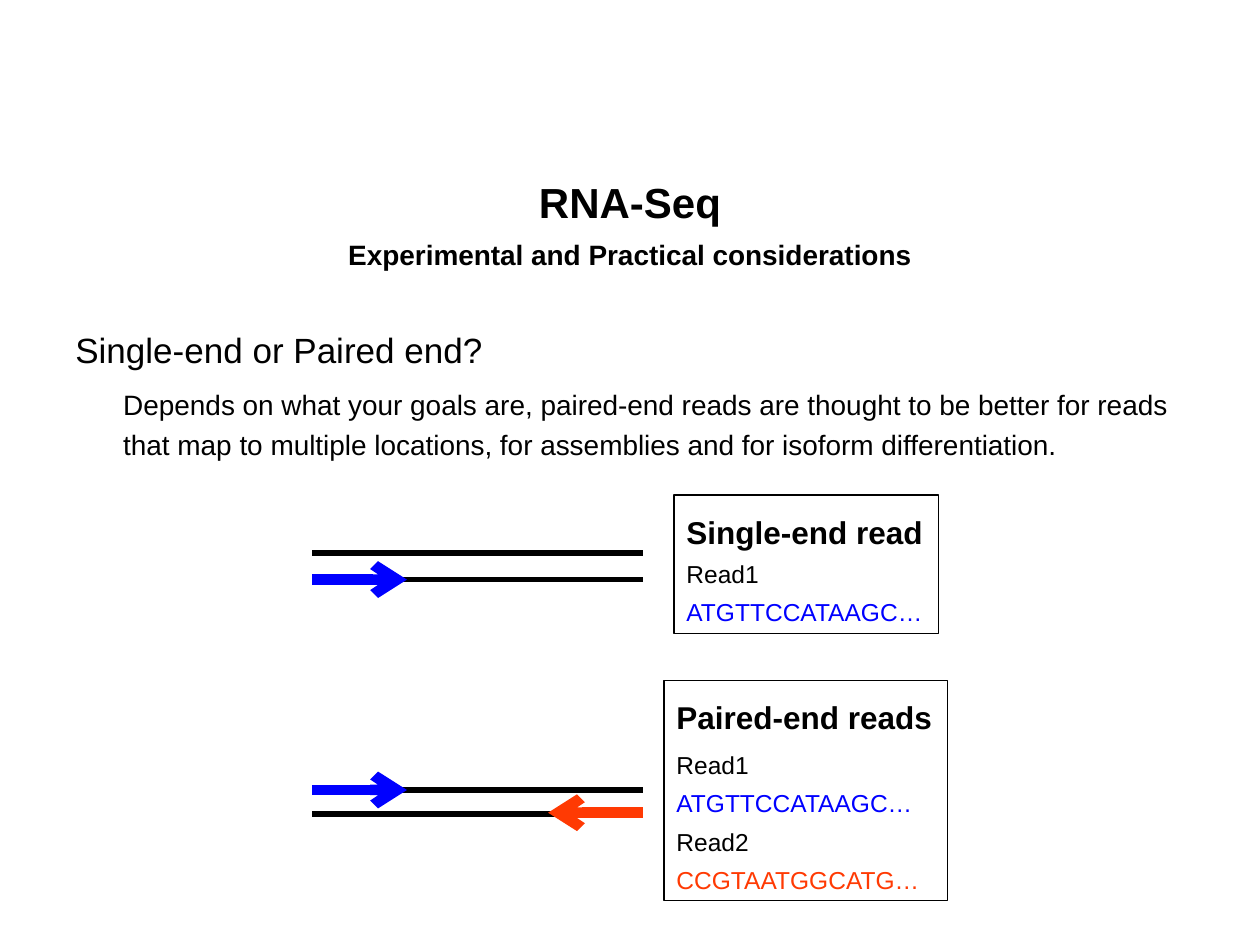
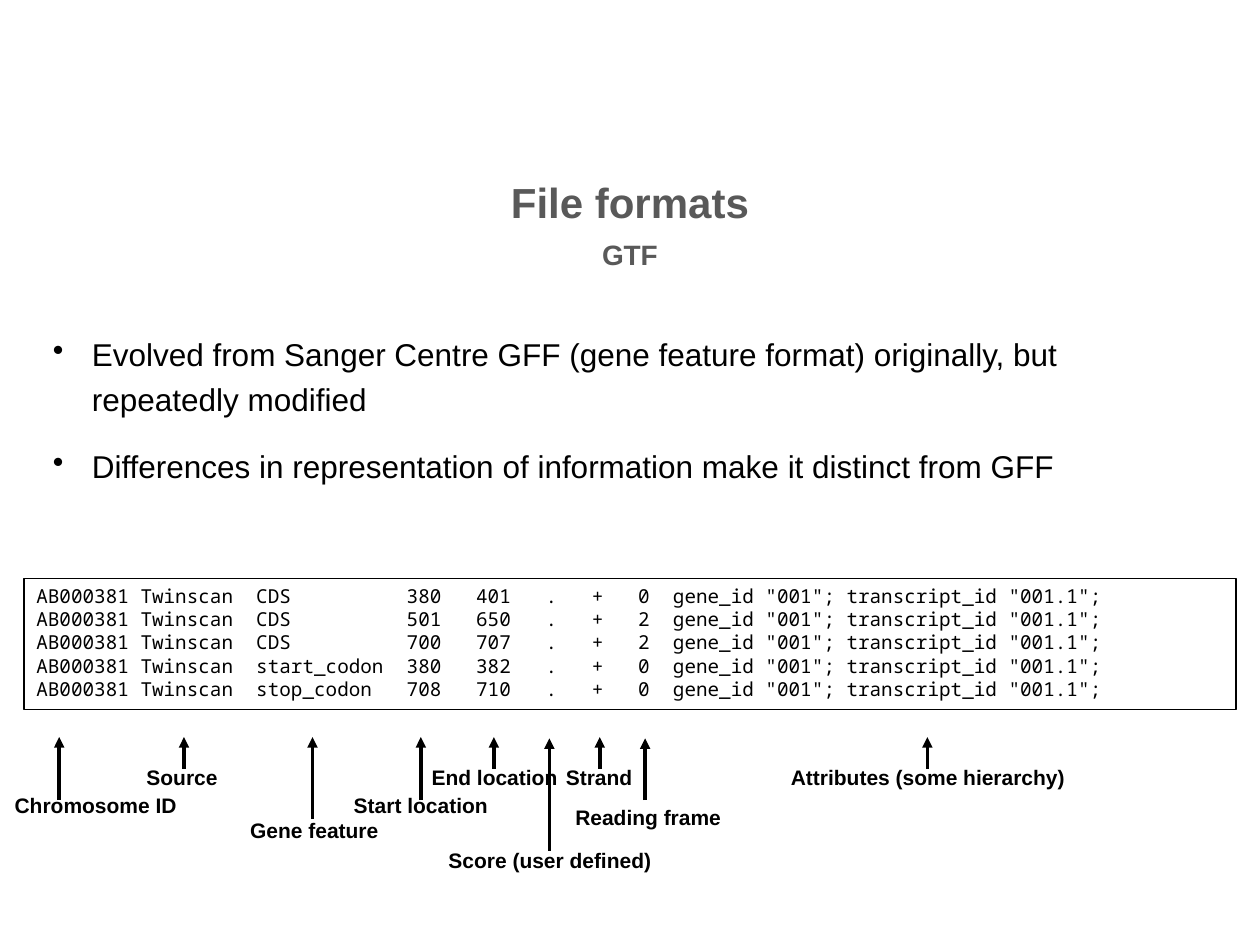
from dataclasses import dataclass
from typing import Optional

from lxml import etree
from pptx import Presentation
from pptx import util as u
from pptx.dml.color import RGBColor
from pptx.enum import shapes, text
from pptx.oxml.ns import qn

PX = u.Inches(1) // 100  # 100 px to the inch

BLACK = RGBColor(0x00, 0x00, 0x00)
GREY = RGBColor(0x59, 0x59, 0x59)
BLUE = RGBColor(0x00, 0x00, 0xFF)
RED = RGBColor(0xFF, 0x3A, 0x03)
SANS, MONO = "Arial", "Noto Sans Mono"
TOP, MID = text.MSO_ANCHOR.TOP, text.MSO_ANCHOR.MIDDLE
CENTER = text.PP_ALIGN.CENTER


@dataclass
class Para:
    words: str
    size: int
    color: RGBColor = BLACK
    bold: bool = False
    font: str = SANS
    align: Optional[text.PP_ALIGN] = None
    gap: float = 1.0
    before: int = 0
    after: int = 0
    left: int = 0
    hang: int = 0
    bullet: str = ""


@dataclass
class Area:
    left: int
    top: int
    width: int
    height: int

    def emu(self) -> tuple:
        return tuple(n * PX for n in (self.left, self.top, self.width, self.height))


@dataclass
class Read:
    start: int
    end: int
    y: int
    color: RGBColor = BLACK
    weight: int = 3
    tip: str = ""


@dataclass
class Label:
    words: str
    x: int
    foot: int
    area: Area
    tip: int = 585


# Shared parts
def fill_text(shape, paras: list[Para], wrap: bool = True, anchor=TOP, grow: bool = False) -> None:
    frame = shape.text_frame
    frame.text = "\n".join(para.words for para in paras)
    frame.word_wrap = wrap
    frame.vertical_anchor = anchor
    if grow:
        frame.auto_size = text.MSO_AUTO_SIZE.SHAPE_TO_FIT_TEXT
    for item, para in zip(frame.paragraphs, paras):
        item.alignment = para.align or text.PP_ALIGN.LEFT
        item.line_spacing = para.gap
        item.space_before = u.Pt(para.before)
        item.space_after = u.Pt(para.after)
        props = item._p.get_or_add_pPr()
        if para.left:
            item.level = 1
            props.set("marL", str(para.left * PX))
            props.set("indent", str(para.hang * PX))
        if para.bullet:
            etree.SubElement(props, qn("a:buChar")).set("char", para.bullet)
        for run in item.runs:
            run.font.name = para.font
            run.font.size = u.Pt(para.size)
            run.font.bold = para.bold
            run.font.color.rgb = para.color


def add_text(slide, area: Area, paras: list[Para], **style) -> None:
    fill_text(slide.shapes.add_textbox(*area.emu()), paras, **style)


def add_frame(slide, area: Area, paras: list[Para], **style) -> None:
    box = slide.shapes.add_shape(shapes.MSO_SHAPE.RECTANGLE, *area.emu())
    box.shadow.inherit = False
    box.fill.background()
    box.line.color.rgb = BLACK
    box.line.width = u.Pt(0.75)
    fill_text(box, paras, **style)


def add_line(slide, start: tuple, end: tuple, color: RGBColor, weight: int, tip: str = "") -> None:
    points = [n * PX for n in start + end]
    line = slide.shapes.add_connector(shapes.MSO_CONNECTOR.STRAIGHT, *points)
    line.line.color.rgb = color
    line.line.width = u.Pt(weight)
    if tip:
        etree.SubElement(line.line._get_or_add_ln(), qn("a:tailEnd")).set("type", tip)
    etree.SubElement(line._element.spPr, qn("a:effectLst"))


def add_title(slide, title: str, topic: str, color: RGBColor) -> None:
    paras = [Para(words, size, color, True, align=CENTER, gap=1.3)
             for words, size in ((title, 24), (topic, 16))]
    add_text(slide, Area(50, 142, 900, 59), paras, anchor=MID)


# Slide 1: kinds of reads
LEFT, RIGHT, SPAN = 248, 510, 75


def seq(words: str, color: RGBColor = BLACK, before: int = 0) -> Para:
    return Para(words, 14, color, gap=1.3, before=before)


def head(words: str) -> Para:
    return Para(words, 18, bold=True, gap=1.3)


def strand(y: int) -> Read:
    return Read(LEFT, RIGHT, y)


def first(y: int) -> Read:
    return Read(LEFT, LEFT + SPAN, y, BLUE, 6, "arrow")


SINGLE = [head("Single-end read"), seq("Read1"), seq("ATGTTCCATAAGC…", BLUE)]
PAIRED = [head("Paired-end reads"), seq("Read1", before=3), seq("ATGTTCCATAAGC…", BLUE),
          seq("Read2"), seq("CCGTAATGGCATG…", RED)]
READS = [strand(646), strand(627), first(627),
         Read(RIGHT, RIGHT - SPAN, 645, RED, 6, "arrow"),
         strand(439), strand(460), first(460)]


def draw_reads(slide) -> None:
    add_frame(slide, Area(535, 393, 210, 110), SINGLE, wrap=False, grow=True)
    add_frame(slide, Area(527, 540, 225, 175), PAIRED, wrap=False, anchor=MID, grow=True)
    for read in READS:
        add_line(slide, (read.start, read.y), (read.end, read.y), read.color, read.weight, read.tip)
    add_title(slide, "RNA-Seq", "Experimental and Practical considerations", BLACK)
    add_text(slide, Area(50, 249, 900, 123), [
        Para("Single-end or Paired end?", 20, gap=1.2, after=6),
        Para("Depends on what your goals are, paired-end reads are thought to be better for reads "
             "that map to multiple locations, for assemblies and for isoform differentiation.",
             16, gap=1.2, after=6, left=38),
    ], grow=True)


# Slide 2: columns of the GTF format
POINTS = [
    "Evolved from Sanger Centre GFF (gene feature format) originally, but repeatedly modified",
    "Differences in representation of information make it distinct from GFF",
]
ROWS = [("CDS", 380, 401, 0), ("CDS", 501, 650, 2), ("CDS", 700, 707, 2),
        ("start_codon", 380, 382, 0), ("stop_codon", 708, 710, 0)]
LABELS = [
    Label("Chromosome ID", 47, 635, Area(1, 624, 150, 30)),
    Label("Source", 146, 610, Area(106, 602, 77, 30)),
    Label("Gene feature", 248, 650, Area(188, 644, 123, 30)),
    Label("Start location", 334, 635, Area(270, 624, 128, 30)),
    Label("End location", 392, 610, Area(332, 602, 121, 30)),
    Label("Score (user defined)", 436, 675, Area(345, 668, 183, 30), 586),
    Label("Strand", 476, 610, Area(439, 602, 73, 30)),
    Label("Reading frame", 512, 635, Area(446, 634, 137, 30), 586),
    Label("Attributes (some hierarchy)", 736, 610, Area(616, 602, 241, 30)),
]


def draw_format(slide) -> None:
    add_title(slide, "File formats", "GTF", GREY)
    add_text(slide, Area(19, 255, 948, 148),
             [Para(words, 18, gap=1.2, after=12, left=44, hang=-31, bullet="•")
              for words in POINTS])
    lines = [f'AB000381 Twinscan  {kind:<13}{start}   {end}   .   +   {phase}  '
             'gene_id "001"; transcript_id "001.1";' for kind, start, end, phase in ROWS]
    add_frame(slide, Area(19, 459, 962, 104), [Para(line, 11, font=MONO) for line in lines])
    for label in LABELS:
        add_text(slide, label.area, [Para(label.words, 12, bold=True, align=CENTER)],
                 wrap=False, grow=True)
        add_line(slide, (label.x, label.foot), (label.x, label.tip), BLACK, 2, "triangle")


def main() -> None:
    deck = Presentation()
    deck.slide_width, deck.slide_height = 1000 * PX, 750 * PX
    for draw in (draw_reads, draw_format):
        draw(deck.slides.add_slide(deck.slide_layouts[6]))
    deck.save("out.pptx")


if __name__ == "__main__":
    main()
